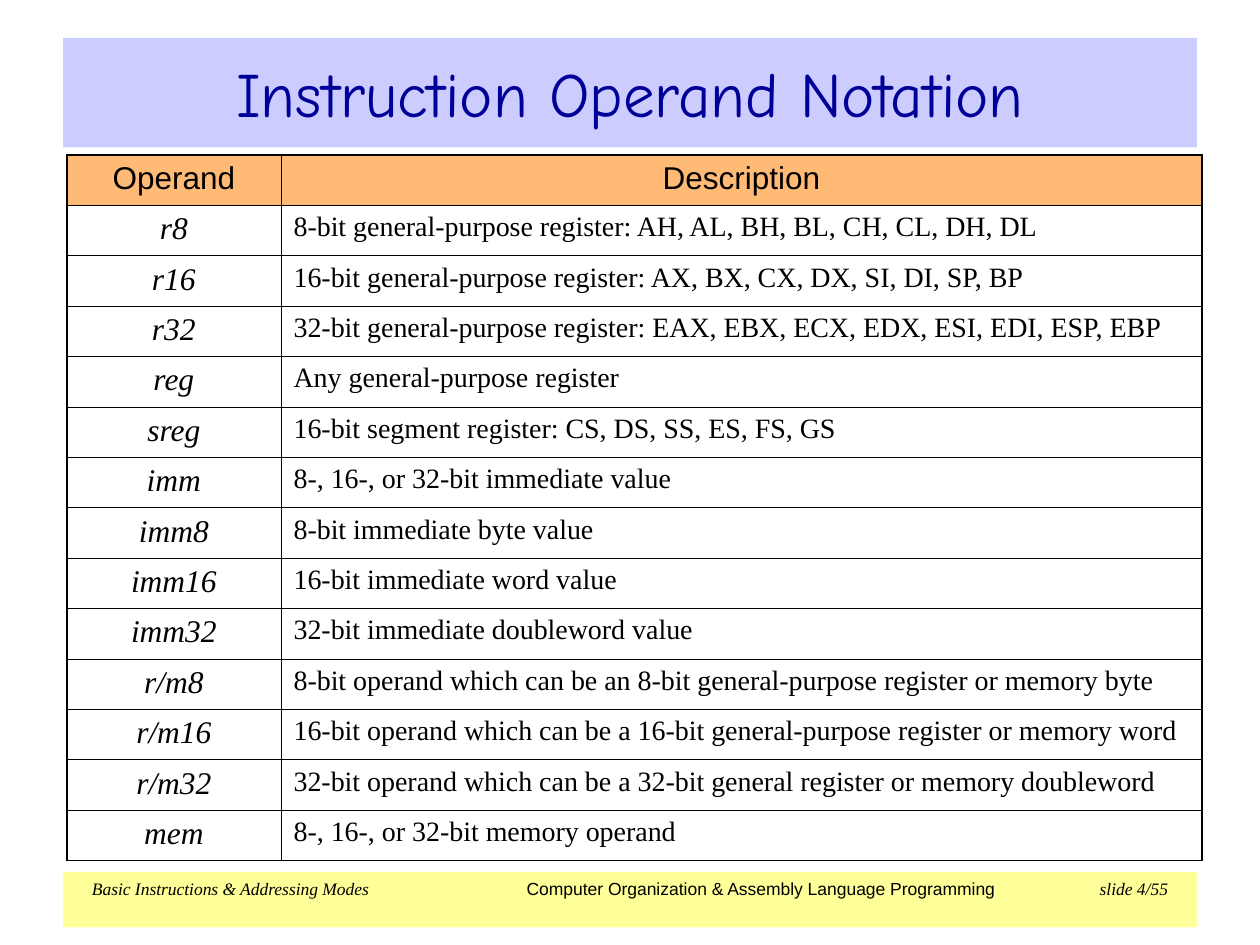
from lxml.etree import SubElement
from pptx import Presentation
from pptx.dml.color import RGBColor
from pptx.enum.shapes import MSO_SHAPE
from pptx.enum.text import MSO_ANCHOR, MSO_AUTO_SIZE, PP_ALIGN
from pptx.oxml.ns import qn
from pptx.util import Inches, Pt

COLOURS = {"ink": "000000", "title": "000099", "banner": "CCCCFF",
           "header": "FFBA75", "footer": "FFFF99"}
SERIF, SANS = "Times New Roman", "Arial"
HEADER = {"name": SANS, "size": Pt(18), "italic": False}
OPERAND = {"name": SERIF, "size": Pt(18), "italic": True}
DESCRIPTION = {"name": SERIF, "size": Pt(16), "italic": False}
FOOTER_SERIF = {"name": SERIF, "size": Pt(10), "italic": True}
FOOTER_SANS = {"name": SANS, "size": Pt(10), "italic": False}
TITLE = {"name": "Comic Neue", "size": Pt(36), "bold": False}
CENTRED = {"alignment": PP_ALIGN.CENTER, "space_before": Pt(9)}
LEFT = {"alignment": PP_ALIGN.LEFT, "space_before": Pt(8)}
THICK, THIN = Pt(1.08), Pt(0.45)

OPERANDS = [
    ("r8", "8-bit general-purpose register: AH, AL, BH, BL, CH, CL, DH, DL"),
    ("r16", "16-bit general-purpose register: AX, BX, CX, DX, SI, DI, SP, BP"),
    ("r32", "32-bit general-purpose register: EAX, EBX, ECX, EDX, ESI, EDI, ESP, EBP"),
    ("reg", "Any general-purpose register"),
    ("sreg", "16-bit segment register: CS, DS, SS, ES, FS, GS"),
    ("imm", "8-, 16-, or 32-bit immediate value"),
    ("imm8", "8-bit immediate byte value"),
    ("imm16", "16-bit immediate word value"),
    ("imm32", "32-bit immediate doubleword value"),
    ("r/m8", "8-bit operand which can be an 8-bit general-purpose register or memory byte"),
    ("r/m16", "16-bit operand which can be a 16-bit general-purpose register or memory word"),
    ("r/m32", "32-bit operand which can be a 32-bit general register or memory doubleword"),
    ("mem", "8-, 16-, or 32-bit memory operand"),
]


def apply_format(target, values):
    """Set each named attribute on the target."""
    for name, value in values.items():
        setattr(target, name, value)


def colour(name):
    """Look up a palette colour."""
    return RGBColor.from_string(COLOURS[name])


def paint(item, name):
    """Give a shape or cell a solid fill."""
    item.fill.solid()
    item.fill.fore_color.rgb = colour(name)


def add_run(paragraph, text, font, ink="ink"):
    """Append formatted text to a paragraph."""
    run = paragraph.add_run()
    run.text = text
    apply_format(run.font, font)
    run.font.color.rgb = colour(ink)


def set_tabs(paragraph, stops):
    """Set tab stops from (inches, alignment) pairs."""
    tab_list = SubElement(paragraph._p.get_or_add_pPr(), qn("a:tabLst"))
    for position, alignment in stops:
        SubElement(tab_list, qn("a:tab"), pos=str(Inches(position)), algn=alignment)


def set_borders(cell, widths):
    """Draw the left, right, top and bottom cell borders, ahead of the fill."""
    properties = cell._tc.get_or_add_tcPr()
    for index, (side, width) in enumerate(zip("LRTB", widths)):
        border = SubElement(properties, qn(f"a:ln{side}"), w=str(int(width)))
        fill = SubElement(border, qn("a:solidFill"))
        SubElement(fill, qn("a:srgbClr"), val=COLOURS["ink"])
        properties.insert(index, border)


def add_title(slide):
    """Place the title banner."""
    banner = slide.shapes.title
    apply_format(banner, {"left": Inches(0.5), "top": Inches(0.3),
                          "width": Inches(9), "height": Inches(0.87)})
    paint(banner, "banner")
    apply_format(banner.text_frame, {"vertical_anchor": MSO_ANCHOR.MIDDLE,
                                     "auto_size": MSO_AUTO_SIZE.NONE})
    heading = banner.text_frame.paragraphs[0]
    heading.alignment = PP_ALIGN.CENTER
    add_run(heading, "Instruction Operand Notation", TITLE, "title")


def add_footer(slide):
    """Place the footer bar with its three tabbed parts."""
    bar = slide.shapes.add_shape(MSO_SHAPE.RECTANGLE, Inches(0.5), Inches(6.92),
                                 Inches(9), Inches(0.44))
    bar.shadow.inherit = False
    paint(bar, "footer")
    bar.line.fill.background()
    apply_format(bar.text_frame, {"vertical_anchor": MSO_ANCHOR.TOP, "word_wrap": True,
                                  "margin_left": Inches(0.23)})
    line = bar.text_frame.paragraphs[0]
    line.alignment = PP_ALIGN.LEFT
    set_tabs(line, [(3.45, "l"), (8.54, "r")])
    add_run(line, "Basic Instructions & Addressing Modes\t", FOOTER_SERIF)
    add_run(line, "Computer Organization & Assembly Language Programming\t", FOOTER_SANS)
    add_run(line, "slide 4/55", FOOTER_SERIF)


def add_operand_table(slide):
    """Build the table of operands and descriptions."""
    rows = [("Operand", "Description")] + OPERANDS
    last = len(rows) - 1
    table = slide.shapes.add_table(len(rows), 2, Inches(0.53), Inches(1.23),
                                   Inches(9.01), Inches(0.4 * len(rows))).table
    apply_format(table, {"first_row": False, "horz_banding": False})
    for column, width in zip(table.columns, (1.7, 7.31)):
        column.width = Inches(width)
    for r, texts in enumerate(rows):
        table.rows[r].height = Inches(0.4)
        for c, text in enumerate(texts):
            cell = table.cell(r, c)
            if r == 0:
                paint(cell, "header")
            else:
                cell.fill.background()
            edges = (c == 0, c == 1, r == 0, r == last)
            set_borders(cell, [THICK if edge else THIN for edge in edges])
            paragraph = cell.text_frame.paragraphs[0]
            apply_format(paragraph, LEFT if r and c else CENTRED)
            add_run(paragraph, text, (OPERAND, DESCRIPTION)[c] if r else HEADER)


def main():
    """Build and save the slide."""
    deck = Presentation()
    apply_format(deck, {"slide_width": Inches(10), "slide_height": Inches(7.5)})
    slide = deck.slides.add_slide(deck.slide_layouts[5])
    add_footer(slide)
    add_operand_table(slide)
    add_title(slide)
    deck.save("out.pptx")


main()
